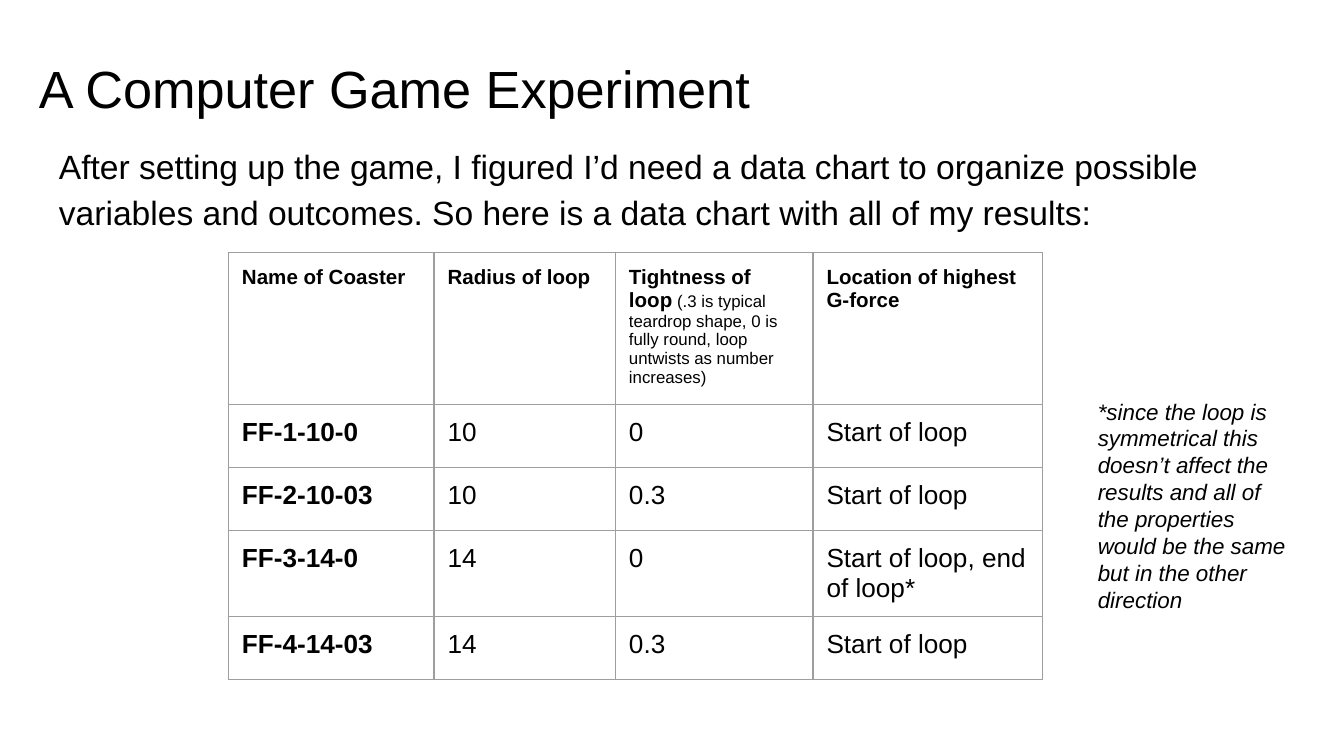
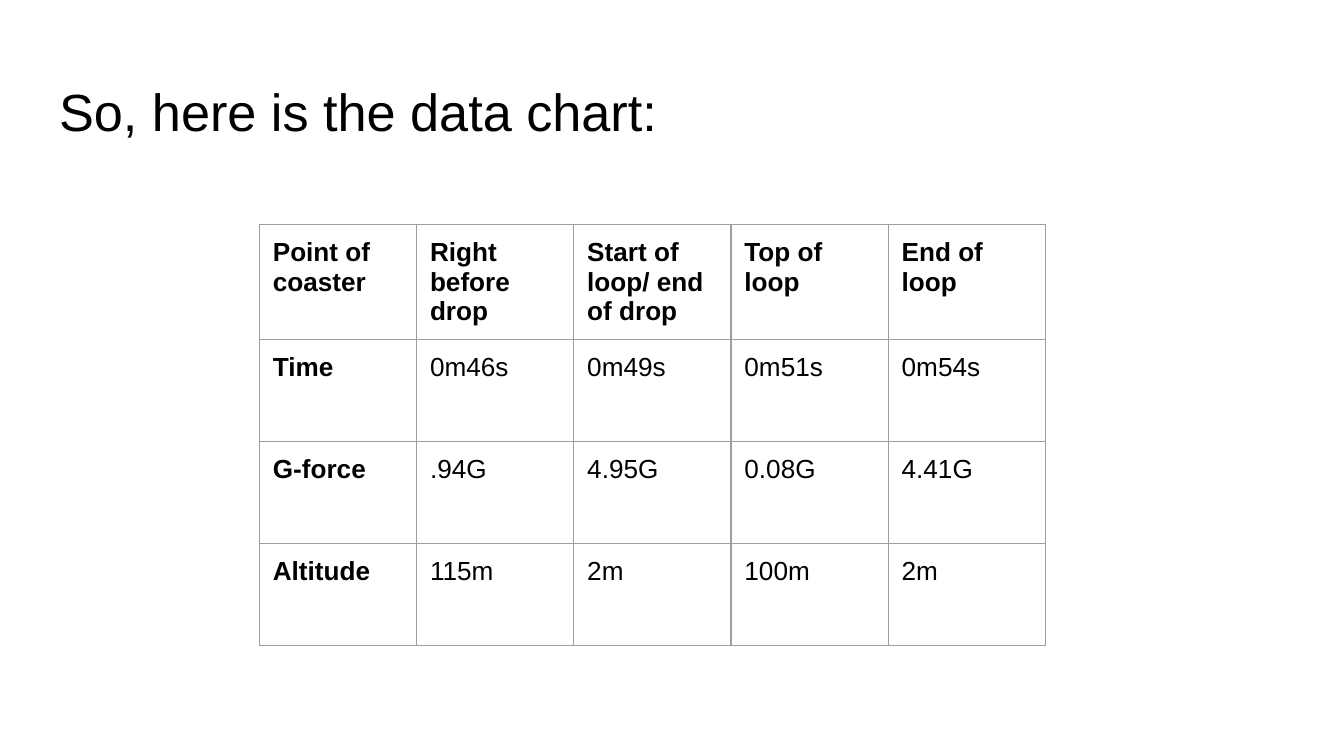
from lxml.etree import SubElement
from pptx import Presentation
from pptx.dml.color import RGBColor
from pptx.enum.text import MSO_ANCHOR as Anchor, MSO_AUTO_SIZE as AutoSize, PP_ALIGN as Align
from pptx.oxml.ns import qn
from pptx.util import Inches, Pt

COLORS = {"paper": "FFFFFF", "text": "000000", "grid": "9E9E9E"}
FONT = "Arial"
INSET = Inches(0.1)
GRID_WIDTH = Pt(0.75)

COASTER_ROWS = [
    ["Name of Coaster", "Radius of loop", "Tightness of loop", "Location of highest G-force"],
    ["FF-1-10-0", "10", "0", "Start of loop"],
    ["FF-2-10-03", "10", "0.3", "Start of loop"],
    ["FF-3-14-0", "14", "0", "Start of loop, end of loop*"],
    ["FF-4-14-03", "14", "0.3", "Start of loop"],
]
TIGHTNESS_HINT = (" (.3 is typical teardrop shape, 0 is fully round, "
                  "loop untwists as number increases)")
LOOP_ROWS = [
    ["Point of coaster", "Right before drop", "Start of loop/ end of drop",
     "Top of loop", "End of loop"],
    ["Time", "0m46s", "0m49s", "0m51s", "0m54s"],
    ["G-force", ".94G", "4.95G", "0.08G", "4.41G"],
    ["Altitude", "115m", "2m", "100m", "2m"],
]


def add_span(para, text, size=14, bold=False, italic=False):
    span = para.add_run()
    span.text = text
    span.font.name = FONT
    span.font.size = Pt(size)
    span.font.bold = bold
    span.font.italic = italic
    span.font.color.rgb = RGBColor.from_string(COLORS["text"])


def fill_box(shape, text, line_spacing=None, **style):
    frame = shape.text_frame
    frame.word_wrap = True
    frame.auto_size = AutoSize.NONE
    frame.vertical_anchor = Anchor.TOP
    frame.margin_left = frame.margin_right = INSET
    frame.margin_top = frame.margin_bottom = INSET
    para = frame.paragraphs[0]
    para.alignment = Align.LEFT
    if line_spacing:
        para.line_spacing = line_spacing
    add_span(para, text, **style)


def add_page(deck, title, box):
    page = deck.slides.add_slide(deck.slide_layouts[5])
    page.background.fill.solid()
    page.background.fill.fore_color.rgb = RGBColor.from_string(COLORS["paper"])
    heading = page.shapes.title
    heading.left, heading.top, heading.width, heading.height = map(Inches, box)
    fill_box(heading, title, size=28)
    return page


def add_text(page, box, text, **style):
    fill_box(page.shapes.add_textbox(*map(Inches, box)), text, **style)


def format_cell(cell):
    cell.margin_left = cell.margin_right = INSET
    cell.margin_top = cell.margin_bottom = INSET
    cell.vertical_anchor = Anchor.TOP
    properties = cell._tc.get_or_add_tcPr()
    for side in ("lnL", "lnR", "lnT", "lnB"):
        line = SubElement(properties, qn(f"a:{side}"), w=str(int(GRID_WIDTH)))
        fill = SubElement(line, qn("a:solidFill"))
        SubElement(fill, qn("a:srgbClr"), val=COLORS["grid"])
    cell.fill.background()


def add_grid(page, left, top, widths, heights, rows, header_size=14):
    table = page.shapes.add_table(
        len(heights), len(widths), Inches(left), Inches(top),
        Inches(sum(widths)), Inches(sum(heights))).table
    table.first_row = table.horz_banding = False
    for column, width in zip(table.columns, widths):
        column.width = Inches(width)
    for row, height in zip(table.rows, heights):
        row.height = Inches(height)
    for row_index, row in enumerate(rows):
        for column_index, text in enumerate(row):
            cell = table.cell(row_index, column_index)
            format_cell(cell)
            add_span(cell.text_frame.paragraphs[0], text,
                     size=14 if row_index else header_size,
                     bold=row_index == 0 or column_index == 0)
    return table


def add_experiment_page(deck):
    page = add_page(deck, "A Computer Game Experiment", (0.19, 0.32, 9.55, 0.63))
    add_text(page, (0.34, 0.94, 9.32, 3.74),
             "After setting up the game, I figured I’d need a data chart to organize "
             "possible variables and outcomes. So here is a data chart with all of my results:",
             size=18, line_spacing=1.15)
    table = add_grid(page, 1.7, 1.88, [1.53, 1.35, 1.47, 1.71], [1.13] + [0.47] * 4,
                     COASTER_ROWS, header_size=11)
    add_span(table.cell(0, 2).text_frame.paragraphs[0], TIGHTNESS_HINT, size=9)
    add_text(page, (8.07, 2.86, 1.67, 1.77),
             "*since the loop is symmetrical this doesn’t affect the results and all of "
             "the properties would be the same but in the other direction",
             size=12, italic=True)


def add_results_page(deck):
    page = add_page(deck, "So, here is the data chart:", (0.34, 0.49, 9.32, 0.63))
    add_grid(page, 1.93, 1.67, [1.17] * 5, [0.8] + [0.76] * 3, LOOP_ROWS)


def main():
    deck = Presentation()
    deck.slide_width = Inches(10)
    deck.slide_height = deck.slide_width * 9 // 16
    add_experiment_page(deck)
    add_results_page(deck)
    deck.save("out.pptx")


if __name__ == "__main__":
    main()
